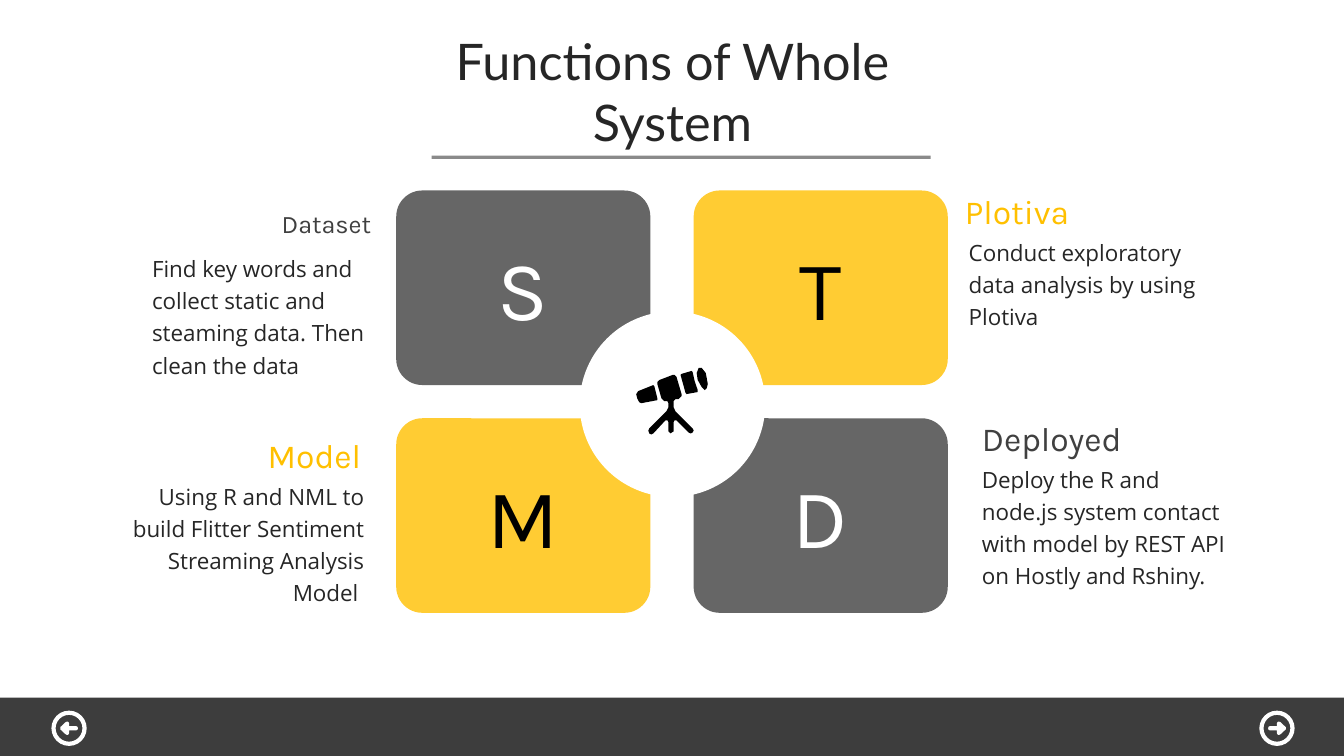
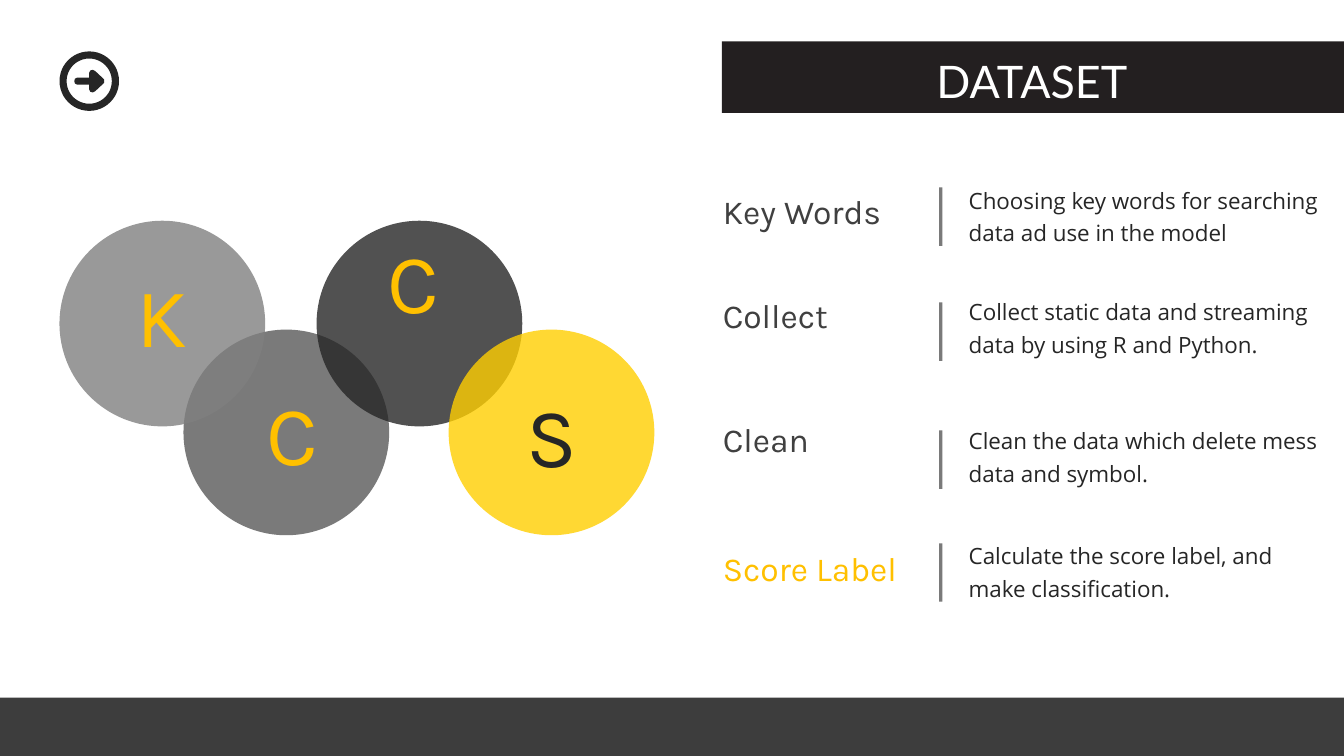
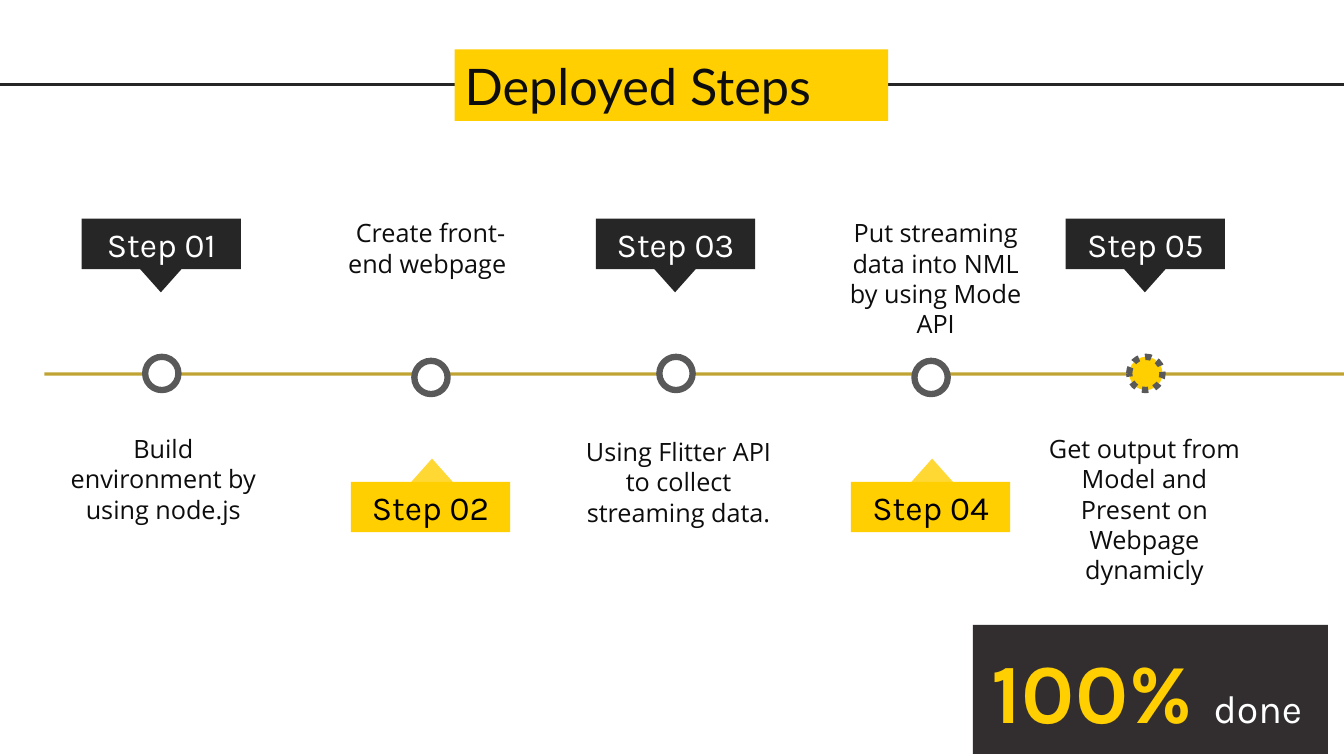
from dataclasses import dataclass, field

from lxml.etree import SubElement
from pptx import Presentation
from pptx.dml.color import RGBColor
from pptx.enum.dml import MSO_LINE
from pptx.enum.shapes import MSO_CONNECTOR, MSO_SHAPE as Kind
from pptx.enum.text import MSO_ANCHOR, MSO_AUTO_SIZE, PP_ALIGN as Align
from pptx.oxml.ns import qn
from pptx.util import Inches, Pt


@dataclass
class Theme:
    black: str = "000000"
    white: str = "FFFFFF"
    ink: str = "0D0D0D"
    coal: str = "231F20"
    charcoal: str = "262626"
    slate: str = "404040"
    grey: str = "595959"
    silver: str = "808080"
    amber: str = "FFC000"
    yellow: str = "FFCF01"
    olive: str = "B08E00"
    leading: int = 23
    veil: int = 80
    styles: dict = field(default_factory=lambda: {
        "title": {"name": "Lato", "size": Pt(36)},
        "banner": {"name": "Lato", "size": Pt(32)},
        "letter": {"name": "Karla", "size": Pt(60)},
        "figure": {"name": "Karla", "size": Pt(60), "bold": True},
        "unit": {"name": "Karla", "size": Pt(28)},
        "heading": {"name": "Karla", "size": Pt(24)},
        "subheading": {"name": "Karla", "size": Pt(18)},
        "body": {"name": "Open Sans", "size": Pt(16)},
        "caption": {"name": "Open Sans", "size": Pt(18)},
    })


theme = Theme()


def paint(shape, color, opacity=100):
    """Give a shape a flat fill with no outline or shadow."""
    shape.shadow.inherit = False
    shape.fill.solid()
    shape.fill.fore_color.rgb = RGBColor.from_string(color)
    shape.line.fill.background()
    if opacity < 100:
        for node in shape.element.spPr.iter(qn("a:srgbClr")):
            SubElement(node, qn("a:alpha"), val=str(opacity * 1000))
    return shape


def write(box, spans, align=Align.LEFT, leading=None):
    """Put one paragraph of (text, style, color) spans into a box."""
    frame = box.text_frame
    frame.word_wrap = True
    frame.auto_size = MSO_AUTO_SIZE.SHAPE_TO_FIT_TEXT
    para = frame.paragraphs[0]
    para.alignment = align
    if leading:
        para.line_spacing = Pt(leading)
    for text, style, color in spans:
        span = para.add_run()
        span.text = text
        for key, value in theme.styles[style].items():
            setattr(span.font, key, value)
        span.font.color.rgb = RGBColor.from_string(color)


deck = Presentation()
deck.slide_width, deck.slide_height = Inches(13.33), Inches(7.5)
functions, dataset, steps = [
    deck.slides.add_slide(deck.slide_layouts[6]) for _ in range(3)]

# Footer bands
for page in (functions, dataset):
    band = page.shapes.add_shape(
        Kind.RECTANGLE, 0, Inches(6.92), deck.slide_width, Inches(0.59))
    paint(band, theme.ink, theme.veil)

# Rules: page, start, end, color, opacity
rules = [
    (functions, (4.28, 1.56), (9.23, 1.56), theme.grey, 70),
    (steps, (0, 0.84), (13.33, 0.84), theme.charcoal, 100),
    (steps, (0.44, 3.71), (13.33, 3.71), theme.olive, 80),
]
rules += [(dataset, (9.33, top), (9.33, top + 0.58), theme.grey, 80)
          for top in (1.86, 3, 4.27, 5.39)]
for page, start, end, color, opacity in rules:
    rule = page.shapes.add_connector(
        MSO_CONNECTOR.STRAIGHT, *map(Inches, start + end))
    rule.line.width = Pt(2.25)
    rule.line.color.rgb = RGBColor.from_string(color)
    for node in rule.element.spPr.iter(qn("a:srgbClr")):
        SubElement(node, qn("a:alpha"), val=str(opacity * 1000))
    SubElement(rule.element.spPr, qn("a:effectLst"))

# Functions: four tiles around a hub
tiles = [
    (3.93, 1.89, "S", theme.slate, theme.white),
    (6.88, 1.89, "T", theme.amber, theme.black),
    (3.93, 4.15, "M", theme.amber, theme.black),
    (6.88, 4.15, "D", theme.slate, theme.white),
]
for left, top, letter, fill, color in tiles:
    tile = functions.shapes.add_shape(
        Kind.ROUNDED_RECTANGLE, *map(Inches, (left, top, 2.52, 1.93)))
    tile.adjustments[0] = 0.134
    paint(tile, fill, theme.veil)
    label = functions.shapes.add_textbox(
        *map(Inches, (left + 0.45, top + 0.41, 1.62, 1.11)))
    write(label, [(letter, "letter", color)], Align.CENTER)
paint(functions.shapes.add_shape(
    Kind.OVAL, *map(Inches, (5.75, 3.09, 1.84, 1.84))), theme.white)

# Dataset: banner and overlapping circles
paint(dataset.shapes.add_shape(
    Kind.RECTANGLE, *map(Inches, (7.16, 0.41, 6.17, 0.71))), theme.coal)
circles = [
    (1.82, 3.27, theme.grey),
    (0.59, 2.19, theme.silver),
    (3.14, 2.19, theme.charcoal),
    (4.45, 3.27, theme.yellow),
]
for left, top, fill in circles:
    circle = dataset.shapes.add_shape(
        Kind.OVAL, *map(Inches, (left, top, 2.04, 2.04)))
    paint(circle, fill, theme.veil)
letters = [
    (0.8, 2.56, "K", theme.amber),
    (2.09, 3.74, "C", theme.amber),
    (3.29, 2.23, "C", theme.amber),
    (4.66, 3.76, "S", theme.charcoal),
]
for left, top, letter, color in letters:
    label = dataset.shapes.add_textbox(
        *map(Inches, (left, top, 1.62, 1.11)))
    write(label, [(letter, "letter", color)], Align.CENTER)

# Navigation arrows and telescope
outlines = [
    (functions, theme.black, [
        (6.76, 3.71), (6.86, 3.68), (6.87, 3.69), (6.89, 3.78), (6.92, 3.87),
        (6.92, 3.89), (6.81, 3.91), (6.8, 3.9), (6.75, 3.72)]),
    (functions, theme.black, [
        (6.93, 3.65), (6.96, 3.65), (7, 3.7), (7.01, 3.75), (7.02, 3.81),
        (7.01, 3.85), (6.99, 3.87), (6.96, 3.84), (6.92, 3.77), (6.91, 3.7)]),
    (functions, theme.black, [
        (6.36, 4), (6.52, 3.97), (6.52, 3.95), (6.49, 3.83), (6.48, 3.82),
        (6.33, 3.88), (6.31, 3.91), (6.32, 3.95), (6.34, 3.99)]),
    (functions, theme.black, [
        (6.83, 4.29), (6.85, 4.3), (6.87, 4.29), (6.88, 4.27), (6.87, 4.25),
        (6.7, 4.08), (6.68, 4.04), (6.68, 3.98), (6.7, 3.96), (6.73, 3.96),
        (6.76, 3.93), (6.76, 3.91), (6.71, 3.74), (6.69, 3.72), (6.67, 3.72),
        (6.54, 3.77), (6.52, 3.79), (6.52, 3.81), (6.56, 3.95), (6.59, 3.98),
        (6.62, 3.98), (6.63, 4), (6.63, 4.04), (6.61, 4.08), (6.44, 4.25),
        (6.43, 4.27), (6.44, 4.3), (6.46, 4.31), (6.48, 4.3), (6.6, 4.17),
        (6.62, 4.17), (6.63, 4.19), (6.63, 4.28), (6.65, 4.3), (6.68, 4.28),
        (6.68, 4.19), (6.69, 4.17), (6.71, 4.17)]),
]
arrow = [
    (0.25, -0.03), (0.25, 0.03), (0.1, 0.17), (0.06, 0.19), (0.02, 0.18),
    (0, 0.14), (0, 0.06), (-0.2, 0.06), (-0.24, 0.04), (-0.25, 0),
    (-0.24, -0.04), (-0.2, -0.06), (0, -0.06), (0, -0.14), (0.02, -0.18),
    (0.06, -0.19), (0.1, -0.17)]
buttons = [
    (functions, 0.51, 7.05, 0.35, -1, theme.white),
    (functions, 12.49, 7.05, 0.35, 1, theme.white),
    (dataset, 0.59, 0.51, 0.59, 1, theme.charcoal),
]
for page, left, top, size, direction, color in buttons:
    ring = page.shapes.add_shape(
        Kind.DONUT, *map(Inches, (left, top, size, size)))
    ring.adjustments[0] = 0.12
    paint(ring, color)
    outlines.append((page, color, [
        (left + size * (0.5 + direction * x), top + size * (0.5 + y))
        for x, y in arrow]))
for page, color, points in outlines:
    corners = [(Inches(x), Inches(y)) for x, y in points]
    builder = page.shapes.build_freeform(*corners[0])
    builder.add_line_segments(corners[1:])
    paint(builder.convert_to_shape(), color)

# Deployed steps: title plate, result panel and timeline
plate = steps.shapes.add_shape(
    Kind.RECTANGLE, *map(Inches, (4.51, 0.49, 4.3, 0.71)))
write(paint(plate, theme.yellow), [("Deployed Steps", "title", theme.ink)])
panel = steps.shapes.add_shape(
    Kind.RECTANGLE, *map(Inches, (9.65, 6.2, 3.52, 1.28)))
paint(panel, theme.coal, 93)
timeline = [
    (0.81, 0.56, 4.25, 1.01, "Build environment by using node.js"),
    (3.48, 3.21, 2.11, 0.71, "Create front-end webpage "),
    (5.91, 5.67, 4.28, 1.01, "Using Flitter API to collect streaming data."),
    (8.44, 8.22, 2.11, 1.31, "Put streaming data into NML by using Mode API"),
    (10.57, 10.29, 4.25, 1.62,
     "Get output from Model and Present on Webpage dynamicly"),
]
for number, (left, text_left, text_top, height, text) in enumerate(timeline, 1):
    above, last = number % 2 == 1, number == len(timeline)
    fill, color = ((theme.charcoal, theme.white) if above
                   else (theme.yellow, theme.black))
    card = steps.shapes.add_shape(
        Kind.RECTANGLE,
        *map(Inches, (left, 2.17 if above else 4.78, 1.58, 0.5)))
    write(paint(card, fill), [(f"Step {number:02}", "heading", color)],
          Align.CENTER)
    pointer = steps.shapes.add_shape(
        Kind.ISOSCELES_TRIANGLE,
        *map(Inches, (left + (0.58 if above else 0.6),
                      2.67 if above else 4.55, 0.41, 0.23)))
    pointer.rotation = 180 if above else 0
    paint(pointer, fill, 100 if above else theme.veil)
    dot = steps.shapes.add_shape(
        Kind.OVAL,
        *map(Inches, (left + 0.63, 3.54 if above else 3.58, 0.33, 0.33)))
    paint(dot, theme.yellow if last else theme.white)
    dot.line.color.rgb = RGBColor.from_string(theme.grey)
    dot.line.width = Pt(4.5)
    if last:
        dot.line.dash_style = MSO_LINE.ROUND_DOT
    caption = steps.shapes.add_textbox(
        *map(Inches, (text_left, text_top, 2.12, height)))
    write(caption, [(text, "caption", theme.ink)], Align.CENTER)
result = steps.shapes.add_textbox(*map(Inches, (9.74, 6.29, 3.59, 1.11)))
write(result, [("100% ", "figure", theme.yellow), ("done", "unit", theme.white)])

# Titles and headings: page, place, text, style, color, alignment
headings = [
    (functions, (3.72, 0.25, 5.9, 1.31), "Functions of Whole System",
     "title", theme.charcoal, Align.CENTER),
    (functions, (1.62, 2.02, 2.16, 0.4), "Dataset",
     "subheading", theme.slate, Align.RIGHT),
    (functions, (1.3, 4.27, 2.38, 0.5), "Model",
     "heading", theme.amber, Align.RIGHT),
    (functions, (9.47, 1.84, 2.05, 0.5), "Plotiva",
     "heading", theme.amber, Align.LEFT),
    (functions, (9.64, 4.1, 2.21, 0.5), "Deployed",
     "heading", theme.slate, Align.LEFT),
    (dataset, (4.84, 0.48, 6.44, 0.64), "DATASET",
     "banner", theme.white, Align.RIGHT),
]
headings += [
    (dataset, (7.07, top, 1.98, 0.5), text, "heading", color, Align.LEFT)
    for top, text, color in (
        (1.84, "Key Words", theme.slate),
        (2.88, "Collect", theme.slate),
        (4.11, "Clean", theme.slate),
        (5.39, "Score Label", theme.amber))]
for page, place, text, style, color, align in headings:
    box = page.shapes.add_textbox(*map(Inches, place))
    write(box, [(text, style, color)], align)

# Descriptions: page, place, text, alignment
descriptions = [
    (functions, (1.41, 2.43, 2.76, 1.37),
     "Find key words and collect static and steaming data. "
     "Then clean the data", Align.LEFT),
    (functions, (1.1, 4.69, 2.61, 1.39),
     "Using R and NML to build Flitter Sentiment Streaming Analysis Model ",
     Align.RIGHT),
    (functions, (9.51, 2.27, 2.76, 1.07),
     "Conduct exploratory data analysis by using Plotiva", Align.LEFT),
    (functions, (9.64, 4.52, 2.61, 1.71),
     "Deploy the R and node.js system contact with model by REST API "
     "on Hostly and Rshiny.", Align.LEFT),
]
descriptions += [
    (dataset, (9.51, top, 3.67, 0.75), text, Align.LEFT)
    for top, text in (
        (1.75, "Choosing key words for searching data ad use in the model"),
        (2.86, "Collect static data and streaming data by using R and Python."),
        (4.14, "Clean the data which delete mess data and symbol."),
        (5.28, "Calculate the score label, and make classification."))]
for page, place, text, align in descriptions:
    box = page.shapes.add_textbox(*map(Inches, place))
    box.text_frame.vertical_anchor = MSO_ANCHOR.TOP
    write(box, [(text, "body", theme.charcoal)], align, theme.leading)

deck.save("out.pptx")
